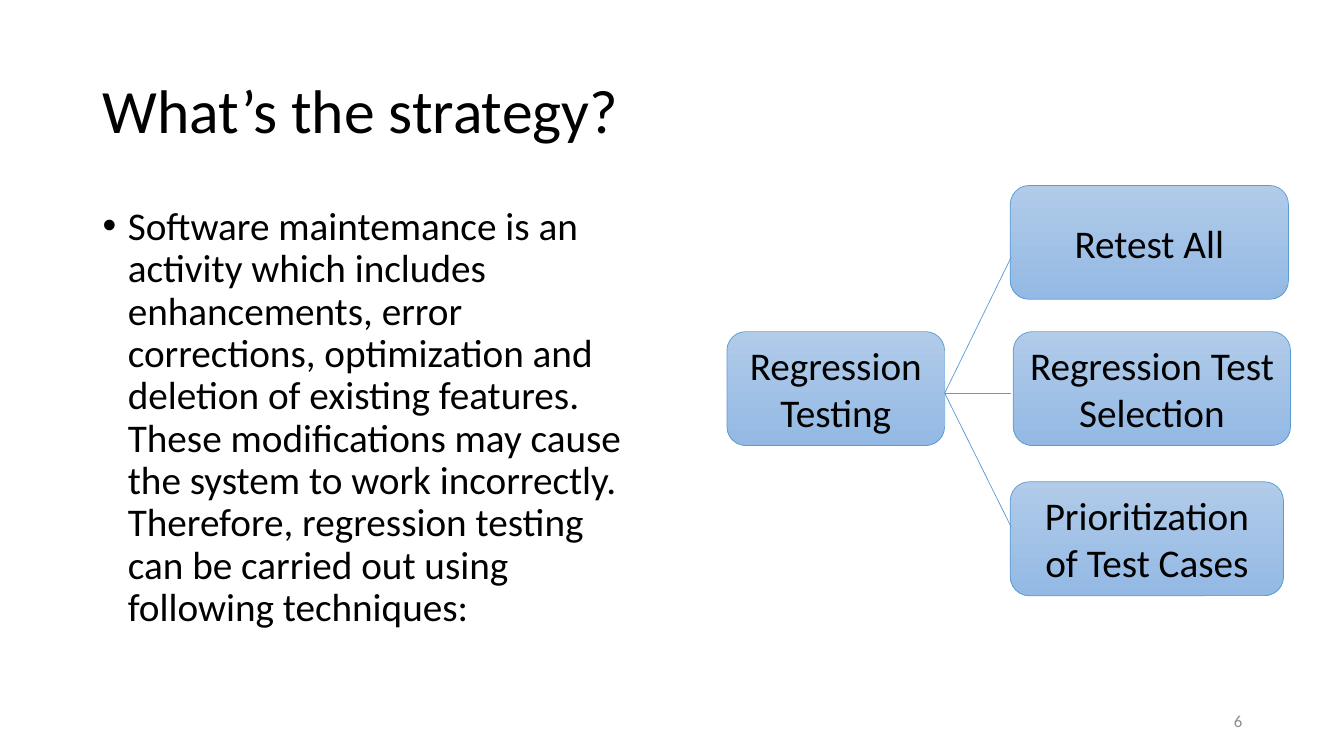
from lxml import etree
from pptx import Presentation
from pptx.dml.color import RGBColor
from pptx.enum.shapes import MSO_CONNECTOR as LINE, MSO_SHAPE as SHAPE
from pptx.enum.text import MSO_ANCHOR as ANCHOR, PP_ALIGN as ALIGN
from pptx.oxml.ns import qn
from pptx.util import Inches, Pt

TITLE = "What’s the strategy?"
BODY = ("Software maintemance is an activity which includes enhancements, error corrections, "
        "optimization and deletion of existing features. These modifications may cause the "
        "system to work incorrectly. Therefore, regression testing can be carried out using "
        "following techniques:")
PAGE = "6"
BOX_H = 1.13
BOXES = [
    ("Regression Testing", 7.21, 3.29, 2.16),
    ("Retest All", 10.02, 1.84, 2.76),
    ("Regression Test Selection", 10.05, 3.29, 2.75),
    ("Prioritization of Test Cases", 10.02, 4.78, 2.71),
]
FORK = (9.37, 3.9)
BRANCH_X = 10.03
BRANCH_YS = [2.55, 3.9, 5.23]
COLORS = {"text": "000000", "page": "8C8C8C", "line": "5B9BD5",
          "top": "B1CBE9", "bottom": "93B9E4"}


def rgb(name):
    return RGBColor.from_string(COLORS[name])


def write(sp, text, size, align=ALIGN.LEFT, anchor=ANCHOR.MIDDLE, color="text"):
    tf = sp.text_frame
    tf.word_wrap = True
    tf.vertical_anchor = anchor
    p = tf.paragraphs[0]
    p.alignment = align
    r = p.add_run()
    r.text = text
    r.font.name = "Calibri"
    r.font.size = Pt(size)
    r.font.color.rgb = rgb(color)
    return p


def outline(sp):
    sp.line.color.rgb = rgb("line")
    sp.line.width = Pt(0.5)


def add_text(s, box, *args, **kwargs):
    return write(s.shapes.add_textbox(*map(Inches, box)), *args, **kwargs)


def add_bullet(p):
    pPr = p._p.get_or_add_pPr()
    pPr.set("marL", str(Inches(0.25)))
    pPr.set("indent", str(Inches(-0.25)))
    etree.SubElement(pPr, qn("a:buFont")).set("typeface", "Arial")
    etree.SubElement(pPr, qn("a:buChar")).set("char", "•")


def add_box(s, text, x, y, w):
    sp = s.shapes.add_shape(SHAPE.ROUNDED_RECTANGLE, *map(Inches, (x, y, w, BOX_H)))
    sp.shadow.inherit = False
    sp.fill.gradient()
    sp.fill.gradient_angle = 270
    for stop, name in zip(sp.fill.gradient_stops, ("top", "bottom")):
        stop.color.rgb = rgb(name)
    outline(sp)
    write(sp, text, 28, ALIGN.CENTER)


def add_branch(s, y):
    sp = s.shapes.add_connector(LINE.STRAIGHT, *map(Inches, (*FORK, BRANCH_X, y)))
    outline(sp)
    etree.SubElement(sp._element.spPr, qn("a:effectLst"))


def main():
    prs = Presentation()
    prs.slide_width, prs.slide_height = Inches(13.33), Inches(7.5)
    s = prs.slides.add_slide(prs.slide_layouts[5])

    title = s.shapes.title
    title.left, title.top, title.width, title.height = map(Inches, (0.92, 0.4, 11.5, 1.45))
    write(title, TITLE, 44).line_spacing = 0.9

    p = add_text(s, (0.92, 2, 5.53, 4.76), BODY, 28, anchor=ANCHOR.TOP)
    p.line_spacing = 0.9
    add_bullet(p)

    for box in BOXES:
        add_box(s, *box)
    for y in BRANCH_YS:
        add_branch(s, y)

    add_text(s, (9.42, 6.95, 3, 0.4), PAGE, 12, ALIGN.RIGHT, color="page")
    prs.save("out.pptx")


if __name__ == "__main__":
    main()
